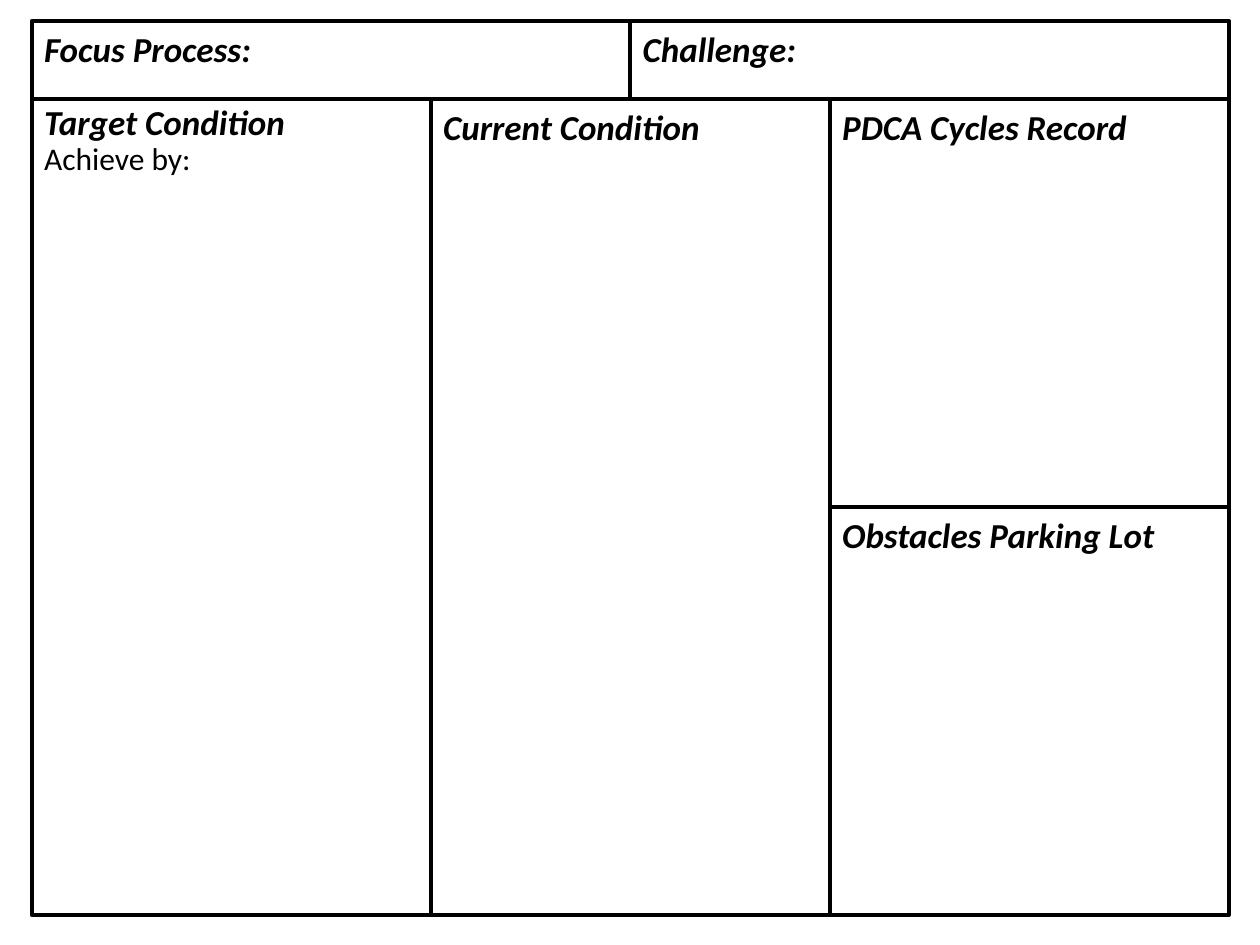
import pptx
import pptx.dml.color
import pptx.enum.shapes
import pptx.enum.text
import pptx.util

Cm = pptx.util.Cm
Pt = pptx.util.Pt

COLORS = {"ink": "000000", "paper": "FFFFFF"}
HEADING = {"name": "Calibri", "size": Pt(20), "bold": True, "italic": True}
DETAIL = {"name": "Calibri", "size": Pt(18), "bold": False, "italic": False}
FRAME = {
    "word_wrap": True,
    "auto_size": pptx.enum.text.MSO_AUTO_SIZE.NONE,
    "vertical_anchor": pptx.enum.text.MSO_ANCHOR.TOP,
    "margin_left": Cm(0.25),
    "margin_right": Cm(0.25),
    "margin_top": Cm(0.13),
    "margin_bottom": Cm(0.13),
}


def rgb(name):
    return pptx.dml.color.RGBColor.from_string(COLORS[name])


def apply(target, values):
    for key, value in values.items():
        setattr(target, key, value)


class Storyboard:
    def __init__(self, prs):
        self.slide = prs.slides.add_slide(prs.slide_layouts[5])
        fill = self.slide.background.fill
        fill.solid()
        fill.fore_color.rgb = rgb("paper")

    def title(self, box, text):
        sp = self.slide.shapes.title
        bounds = map(Cm, box)
        apply(sp, dict(zip(("left", "top", "width", "height"), bounds)))
        self.fill_panel(sp, [(text, HEADING)])

    def panel(self, box, lines, spacing=1.0):
        rect = pptx.enum.shapes.MSO_SHAPE.RECTANGLE
        sp = self.slide.shapes.add_shape(rect, *map(Cm, box))
        sp.shadow.inherit = False
        self.fill_panel(sp, lines, spacing)

    def fill_panel(self, sp, lines, spacing=1.0):
        sp.fill.background()
        sp.line.color.rgb = rgb("ink")
        sp.line.width = Pt(2.25)
        tf = sp.text_frame
        apply(tf, FRAME)
        for i, (text, font) in enumerate(lines):
            p = tf.add_paragraph() if i else tf.paragraphs[0]
            p.alignment = pptx.enum.text.PP_ALIGN.LEFT
            p.line_spacing = spacing
            p.space_before = Pt(0)
            r = p.add_run()
            r.text = text
            apply(r.font, font)
            r.font.color.rgb = rgb("ink")


def main():
    prs = pptx.Presentation()
    prs.slide_width, prs.slide_height = Cm(25.4), Cm(19.05)
    board = Storyboard(prs)

    left, top, width = 0.64, 0.42, 24.13
    header_h, body_h = 1.57, 16.46
    half, third = width / 2, width / 3
    body_top = top + header_h
    right = left + 2 * third

    board.title((left, top, half, header_h), "Focus Process:")
    board.panel((left + half, top, half, header_h), [("Challenge:", HEADING)])
    board.panel(
        (left, body_top, third, body_h),
        [("Target Condition", HEADING), ("Achieve by:", DETAIL)],
        spacing=0.9,
    )
    board.panel((left + third, body_top, third, body_h),
                [("Current Condition", HEADING)])
    for i, text in enumerate(("PDCA Cycles Record", "Obstacles Parking Lot")):
        board.panel((right, body_top + i * body_h / 2, third, body_h / 2),
                    [(text, HEADING)])

    prs.save("out.pptx")


if __name__ == "__main__":
    main()
